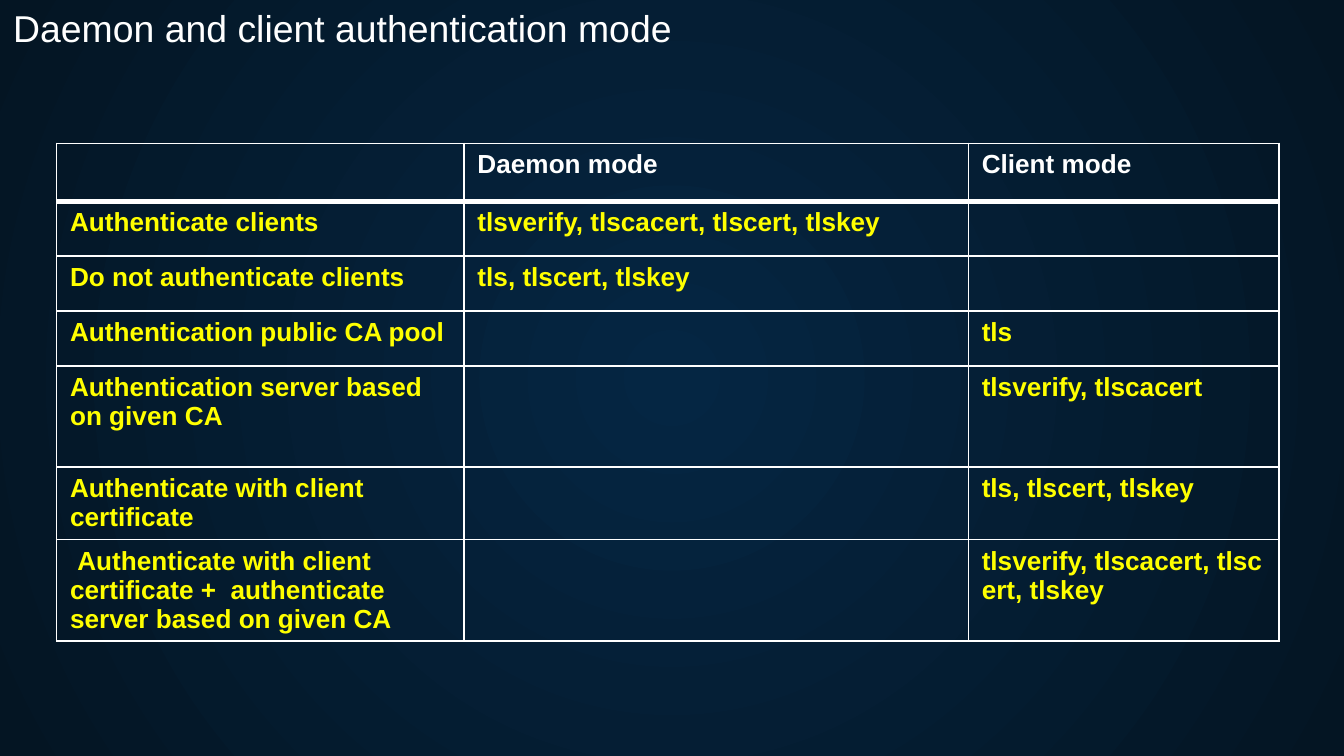
from dataclasses import dataclass

from pptx import Presentation
from pptx import util as u
from pptx.dml.color import RGBColor
from pptx.enum import text
from pptx.oxml import ns
from lxml import etree


@dataclass(frozen=True)
class Theme:
    font: str = "Arial"
    title_size: int = 20
    cell_size: int = 14
    centre: str = "052643"
    edge: str = "041523"
    white: str = "FFFFFF"
    yellow: str = "FFFF00"
    rule: float = 1
    header_rule: float = 3


THEME = Theme()
NBSP = chr(160)  # keeps option lists and padded words on one line


def options(*names):
    return f",{NBSP}".join(names)


MODES = [
    ("", "Daemon mode", "Client mode"),
    ("Authenticate clients", options("tlsverify", "tlscacert", "tlscert", "tlskey"), ""),
    ("Do not authenticate clients", "tls, tlscert, tlskey", ""),
    ("Authentication public CA pool", "", "tls"),
    ("Authentication server based on given CA", "", options("tlsverify", "tlscacert")),
    ("Authenticate with client certificate", "", options("tls", "tlscert", "tlskey")),
    (f"{NBSP}Authenticate with client certificate + {NBSP}authenticate server based on given CA",
     "", options("tlsverify", "tlscacert", "tlscert", "tlskey")),
]
COLUMN_WIDTHS = [7.7, 9.53, 5.87]
ROW_HEIGHTS = [1.09, 1.04, 1.04, 1.04, 1.91, 1.37, 1.91]


def format_runs(frame, size, colour, bold=False):
    for paragraph in frame.paragraphs:
        for run in paragraph.runs:
            run.font.name = THEME.font
            run.font.size = u.Pt(size)
            run.font.bold = bold
            run.font.color.rgb = RGBColor.from_string(colour)


def paint_background(slide):
    fill = slide.background.fill
    fill.gradient()
    for stop, colour in zip(fill.gradient_stops, (THEME.centre, THEME.edge)):
        stop.color.rgb = RGBColor.from_string(colour)
    # Turn the linear gradient into a radial one around the centre
    linear = next(slide.element.iter(ns.qn("a:lin")))
    radial = etree.Element(ns.qn("a:path"), path="circle")
    etree.SubElement(radial, ns.qn("a:fillToRect"),
                     {side: "50000" for side in "ltrb"})
    linear.getparent().replace(linear, radial)


def place_title(slide, wording, left, top, width, height):
    title = slide.shapes.title
    title.left, title.top, title.width, title.height = left, top, width, height
    frame = title.text_frame
    frame.text = wording
    frame.word_wrap = True
    frame.auto_size = text.MSO_AUTO_SIZE.NONE
    frame.vertical_anchor = text.MSO_ANCHOR.BOTTOM
    frame.margin_left = frame.margin_right = u.Cm(0.25)
    frame.margin_top = frame.margin_bottom = u.Cm(0.25)
    frame.paragraphs[0].alignment = text.PP_ALIGN.LEFT
    format_runs(frame, THEME.title_size, THEME.white)


def draw_borders(cell, **widths):
    properties = cell._tc.get_or_add_tcPr()
    for side in "LRTB":
        width = widths.get(side, THEME.rule)
        line = etree.SubElement(properties, ns.qn(f"a:ln{side}"), w=str(u.Pt(width)))
        solid = etree.SubElement(line, ns.qn("a:solidFill"))
        etree.SubElement(solid, ns.qn("a:srgbClr"), val=THEME.white)


def place_mode_table(slide, left, top, width, height):
    table = slide.shapes.add_table(len(MODES), len(COLUMN_WIDTHS),
                                   left, top, width, height).table
    table.horz_banding = False
    for column, column_width in zip(table.columns, COLUMN_WIDTHS):
        column.width = u.Cm(column_width)
    for row, row_height in zip(table.rows, ROW_HEIGHTS):
        row.height = u.Cm(row_height)

    for r, wordings in enumerate(MODES):
        # The thick rule lies between the header and the first body row
        thick = {0: {"B": THEME.header_rule}, 1: {"T": THEME.header_rule}}.get(r, {})
        for c, wording in enumerate(wordings):
            cell = table.cell(r, c)
            draw_borders(cell, **thick)
            cell.fill.background()
            if wording:
                cell.text_frame.text = wording
                format_runs(cell.text_frame, THEME.cell_size,
                            THEME.yellow if r else THEME.white, bold=True)
            else:
                cell.text_frame.paragraphs[0].font.size = u.Pt(THEME.cell_size)


def main():
    deck = Presentation()
    deck.slide_width, deck.slide_height = u.Cm(25.4), u.Cm(14.29)
    slide = deck.slides.add_slide(deck.slide_layouts.get_by_name("Title Only"))
    paint_background(slide)
    place_title(slide, "Daemon and client authentication mode",
                u.Cm(0), u.Cm(0.03), deck.slide_width, u.Cm(1.17))
    place_mode_table(slide, u.Cm(1.07), u.Cm(2.71),
                     u.Cm(sum(COLUMN_WIDTHS)), u.Cm(sum(ROW_HEIGHTS)))
    deck.save("out.pptx")


if __name__ == "__main__":
    main()
